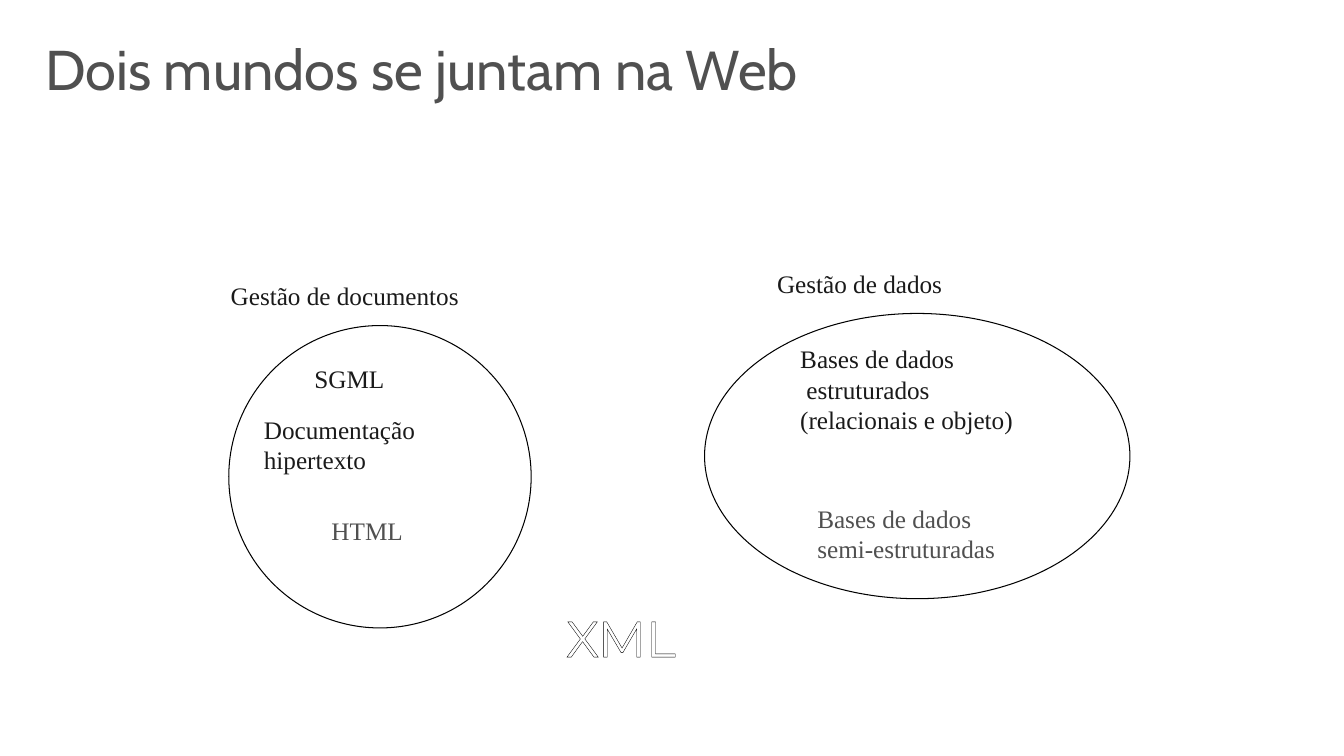
from lxml import etree
from pptx import Presentation
from pptx.dml.color import RGBColor
from pptx.enum.shapes import MSO_SHAPE
from pptx.enum.text import MSO_ANCHOR, MSO_AUTO_SIZE, PP_ALIGN
from pptx.oxml.ns import qn
from pptx.util import Inches, Pt

ELLIPSE = MSO_SHAPE.OVAL
TOP = MSO_ANCHOR.TOP
NO_FIT = MSO_AUTO_SIZE.NONE
GROW = MSO_AUTO_SIZE.SHAPE_TO_FIT_TEXT
LEFT, CENTER = PP_ALIGN.LEFT, PP_ALIGN.CENTER

BLACK = RGBColor(0x00, 0x00, 0x00)
WHITE = RGBColor(0xFF, 0xFF, 0xFF)
INK = RGBColor(0x1A, 0x1A, 0x1A)
GRAY = RGBColor(0x50, 0x50, 0x50)

COLUMNS, ROWS = 80, 45
LINE_WIDTH = Pt(0.75)


def write_text(frame, text, font="Times New Roman", size=18, color=INK,
               align=LEFT, spacing=None, outline=None):
    for index, line in enumerate(text.split("\n")):
        paragraph = frame.paragraphs[0] if index == 0 else frame.add_paragraph()
        paragraph.alignment = align
        if spacing:
            paragraph.line_spacing = spacing
        run = paragraph.add_run()
        run.text = line
        run.font.name = font
        run.font.size = Pt(size)
        run.font.color.rgb = color
        if outline is not None:
            border = etree.Element(qn("a:ln"), w=str(LINE_WIDTH))
            fill = etree.SubElement(border, qn("a:solidFill"))
            etree.SubElement(fill, qn("a:srgbClr"), val=str(outline))
            run.font._element.insert(0, border)


class SlideBuilder:
    """Draw elements on a slide using an 80 by 45 grid."""

    def __init__(self, presentation):
        self.column = presentation.slide_width / COLUMNS
        self.row = presentation.slide_height / ROWS
        self.slide = presentation.slides.add_slide(presentation.slide_layouts[6])
        self.slide.background.fill.solid()
        self.slide.background.fill.fore_color.rgb = WHITE

    def place(self, left, top, width, height):
        return (round(left * self.column), round(top * self.row),
                round(width * self.column), round(height * self.row))

    def text(self, shapes, box, text, wrap=False, fit=NO_FIT, **style):
        frame = shapes.add_textbox(*self.place(*box)).text_frame
        frame.word_wrap = wrap
        frame.auto_size = fit
        frame.vertical_anchor = TOP
        write_text(frame, text, **style)

    def ellipse(self, shapes, box):
        shape = shapes.add_shape(ELLIPSE, *self.place(*box))
        shape.shadow.inherit = False
        shape.fill.background()
        shape.line.color.rgb = BLACK
        shape.line.width = LINE_WIDTH

    def world(self, outline_box, labels):
        shapes = self.slide.shapes.add_group_shape().shapes
        for box, text, color in labels:
            self.text(shapes, box, text, fit=GROW, color=color)
        self.ellipse(shapes, outline_box)


def main():
    presentation = Presentation()
    presentation.slide_width = Inches(13.33)
    presentation.slide_height = Inches(7.5)
    builder = SlideBuilder(presentation)
    shapes = builder.slide.shapes

    builder.text(shapes, (2.1, 2.22, 69, 5.88), "Dois mundos se juntam na Web",
                 wrap=True, font="Cabin", size=40, color=GRAY, spacing=0.9)
    builder.text(shapes, (32.46, 35.82, 9, 3.48), "XML", font="Montserrat",
                 size=36, color=WHITE, align=CENTER, outline=BLACK)

    builder.world((13.62, 19.38, 18, 18), [
        ((13.14, 16.38, 14.94, 2.4), "Gestão de documentos", INK),
        ((18.12, 21.36, 5.4, 2.4), "SGML", INK),
        ((19.14, 30.36, 5.52, 2.4), "HTML", GRAY),
        ((15.12, 24.36, 10.32, 4.26), "Documentação\nhipertexto", INK),
    ])
    builder.world((41.94, 18.66, 25.32, 16.98), [
        ((45.66, 15.66, 11.16, 2.4), "Gestão de dados", INK),
        ((47.04, 20.16, 13.98, 6.06),
         "Bases de dados\n estruturados\n(relacionais e objeto)", INK),
        ((48.06, 29.64, 11.88, 4.26), "Bases de dados\nsemi-estruturadas", GRAY),
    ])
    presentation.save("out.pptx")


if __name__ == "__main__":
    main()
